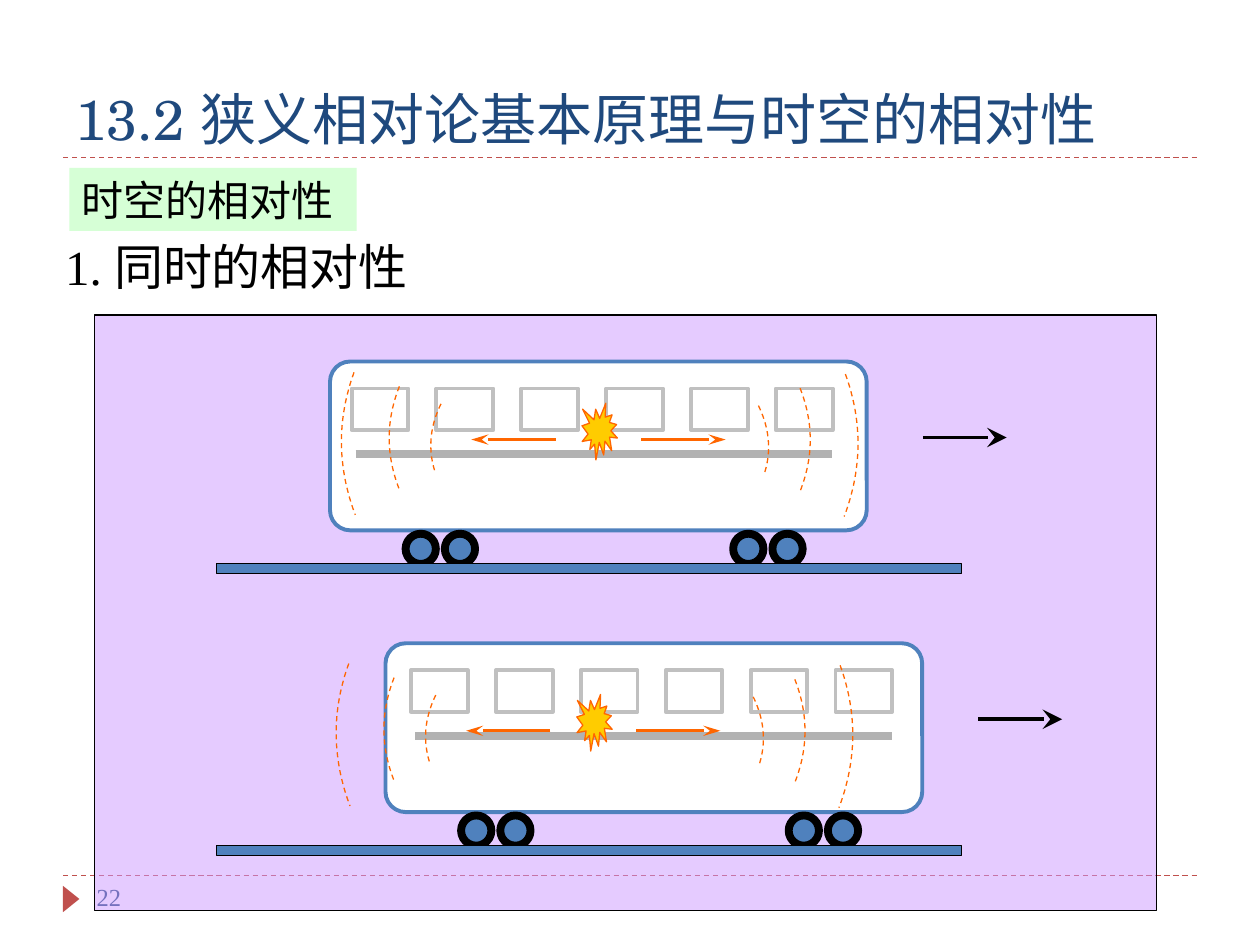
from pptx import Presentation
from pptx.dml.color import RGBColor
from pptx.enum.dml import MSO_LINE
from pptx.enum.shapes import MSO_CONNECTOR, MSO_SHAPE
from pptx.enum.text import MSO_ANCHOR, PP_ALIGN
from pptx.oxml.ns import qn
from pptx.util import Pt
from lxml.etree import SubElement

COLORS = {
    "title": "1F497D", "text": "000000", "accent": "C0504D", "mint": "CCFFCC",
    "panel": "CC99FF", "white": "FFFFFF", "blue": "4F81BD", "window": "C0C0C0",
    "rail": "B2B2B2", "light": "FF6600", "flash": "FFCC00",
}
TITLE = "13.2 狭义相对论基本原理与时空的相对性"
TOPIC = "时空的相对性"
HEADING = "1. 同时的相对性"
PAGE_NUMBER = "22"
SERIF = "Times New Roman"

DIVIDERS = [500.4, 90]
MOVING_TRAIN = {"body": 31.7, "interior": 34, "down": 161}
RESTING_TRAIN = {"body": 0, "interior": 0, "down": 0}
FLASHES = [(0, 0), (-3, 166.4)]
WHEELS = [254.2, 231.8, 441.4, 419]
WAVES = [
    ((483.1, 213.8), (490.3, 253.4), (482.4, 295.2)),
    ((457.2, 221.8), (463, 251.3), (457.2, 280.8)),
    ((433.4, 231.8), (439.2, 255.6), (437, 270)),
]
MIRROR_SUM = 685.4
WAVE_STEPS = 12


def color(name):
    return RGBColor.from_string(COLORS[name])


def paint(shape, fill=None, line=None, width=0.75, alpha=None):
    shape.shadow.inherit = False
    if fill:
        shape.fill.solid()
        shape.fill.fore_color.rgb = color(fill)
        if alpha:
            choice = shape.fill._xPr.find(qn("a:solidFill"))[0]
            SubElement(choice, qn("a:alpha")).set("val", str(alpha * 1000))
    else:
        shape.fill.background()
    if line:
        shape.line.color.rgb = color(line)
        shape.line.width = Pt(width)
    else:
        shape.line.fill.background()


def add_shape(parent, kind, place, **style):
    shape = parent.shapes.add_shape(kind, *map(Pt, place))
    paint(shape, **style)
    return shape


def add_line(parent, start, end, name, width, dash=False, head=None):
    line = parent.shapes.add_connector(MSO_CONNECTOR.STRAIGHT, *map(Pt, start + end))
    line.line.color.rgb = color(name)
    line.line.width = Pt(width)
    if dash:
        line.line.dash_style = MSO_LINE.DASH
    if head:
        tail = SubElement(line.line._get_or_add_ln(), qn("a:tailEnd"))
        for key, value in (("type", "stealth"), ("w", head), ("len", "lg")):
            tail.set(key, value)
    SubElement(line._element.spPr, qn("a:effectLst"))


def write(box, text, size, font=SERIF, name="text", anchor=MSO_ANCHOR.TOP):
    frame = box.text_frame
    frame.word_wrap = True
    frame.vertical_anchor = anchor
    frame.text = text
    paragraph = frame.paragraphs[0]
    paragraph.alignment = PP_ALIGN.LEFT
    span = paragraph.runs[0]
    span.font.size = Pt(size)
    span.font.name = font
    span.font.color.rgb = color(name)


def add_text(page, place, *content, **style):
    write(page.shapes.add_textbox(*map(Pt, place)), *content, **style)


def add_train(page, body, interior, down):
    train = page.shapes.add_group_shape()
    speed = 250 + down
    add_line(train, (527.4 + body, speed), (575.2 + body, speed), "text", 2.25, head="lg")
    car = add_shape(train, MSO_SHAPE.ROUNDED_RECTANGLE, (188.6 + body, 206.6 + down, 306.7, 96.5),
                    fill="white", line="blue", width=2.25)
    car.adjustments[0] = 0.12
    for left in WHEELS:
        add_shape(train, MSO_SHAPE.OVAL, (left + body, 305 + down, 17.3, 17.3),
                  fill="blue", line="text", width=4.5)
    add_shape(train, MSO_SHAPE.RECTANGLE, (123.8, 322 + down, 425.5, 5.8), fill="blue", line="text")
    for index in reversed(range(6)):
        add_shape(train, MSO_SHAPE.RECTANGLE,
                  (200.9 + 48.5 * index + interior, 222 + down, 32.4, 23.8),
                  line="window", width=2.25)
    rail = 259.7 + down
    add_line(train, (203.3 + interior, rail), (475.6 + interior, rail), "rail", 4.5)


def add_wave(parent, top, crest, bottom):
    points = []
    for end, steps in ((top, range(WAVE_STEPS, 0, -1)), (bottom, range(WAVE_STEPS + 1))):
        for step in steps:
            part = step / WAVE_STEPS
            points.append((Pt(crest[0] + (end[0] - crest[0]) * part ** 2),
                           Pt(crest[1] + (end[1] - crest[1]) * part)))
    builder = parent.shapes.build_freeform(*points[0])
    builder.add_line_segments(points[1:], close=False)
    wave = builder.convert_to_shape()
    paint(wave, line="light")
    wave.line.dash_style = MSO_LINE.DASH


def add_flash(page, right, down):
    flash = page.shapes.add_group_shape()
    add_shape(flash, MSO_SHAPE.EXPLOSION1, (332.6 + right, 230.4 + down, 20.2, 32.4),
              fill="flash", line="light")
    level = 251.2 + down
    for inner, outer in ((366.5, 414.7), (317.5, 269.3)):
        add_line(flash, (inner + right, level), (outer + right, level), "light", 1.5, head="med")
    for wave in WAVES:
        add_wave(flash, *[(x + right, y + down) for x, y in wave])
    for wave in WAVES:
        add_wave(flash, *[(MIRROR_SUM - x + right, y - 1 + down) for x, y in wave])


def main():
    deck = Presentation()
    deck.slide_width, deck.slide_height = Pt(720), Pt(540)
    page = deck.slides.add_slide(deck.slide_layouts[6])
    for level in DIVIDERS:
        add_line(page, (36, level), (684, level), "accent", 0.75, dash=True)
    marker = add_shape(page, MSO_SHAPE.ISOSCELES_TRIANGLE, (33.1, 509, 15.1, 9.4), fill="accent")
    marker.rotation = 90
    add_text(page, (36, 18, 648, 72), TITLE, 32, "TeX Gyre Schola", "title",
             anchor=MSO_ANCHOR.BOTTOM)
    add_text(page, (48.2, 500.4, 156.2, 28.8), PAGE_NUMBER, 14, name="title")
    topic = add_shape(page, MSO_SHAPE.RECTANGLE, (39.6, 96, 164.2, 36), fill="mint", alpha=80)
    write(topic, TOPIC, 24, anchor=MSO_ANCHOR.MIDDLE)
    add_text(page, (30.2, 131.8, 228.2, 41), HEADING, 28)
    add_shape(page, MSO_SHAPE.RECTANGLE, (54, 180, 607, 340.5), fill="panel", line="text", alpha=50)
    for train in (MOVING_TRAIN, RESTING_TRAIN):
        add_train(page, **train)
    for shift in FLASHES:
        add_flash(page, *shift)
    deck.save("out.pptx")


if __name__ == "__main__":
    main()
